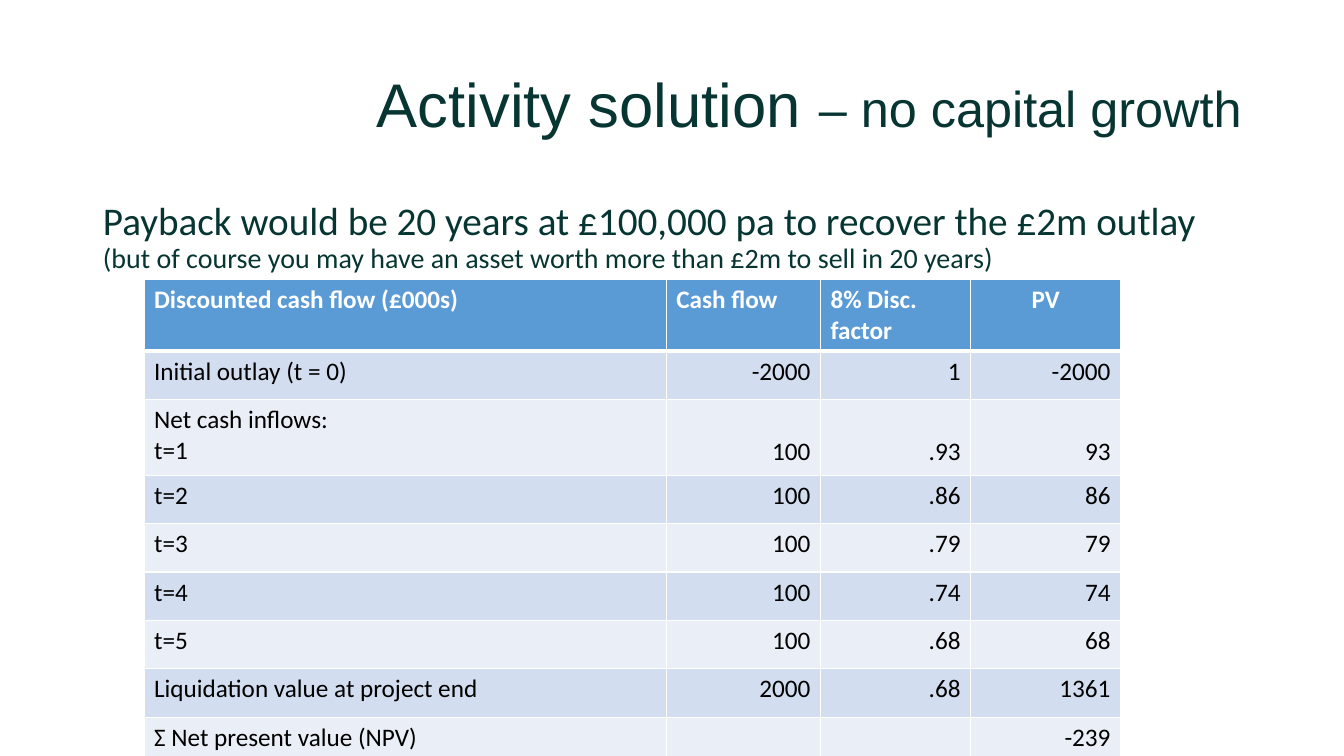
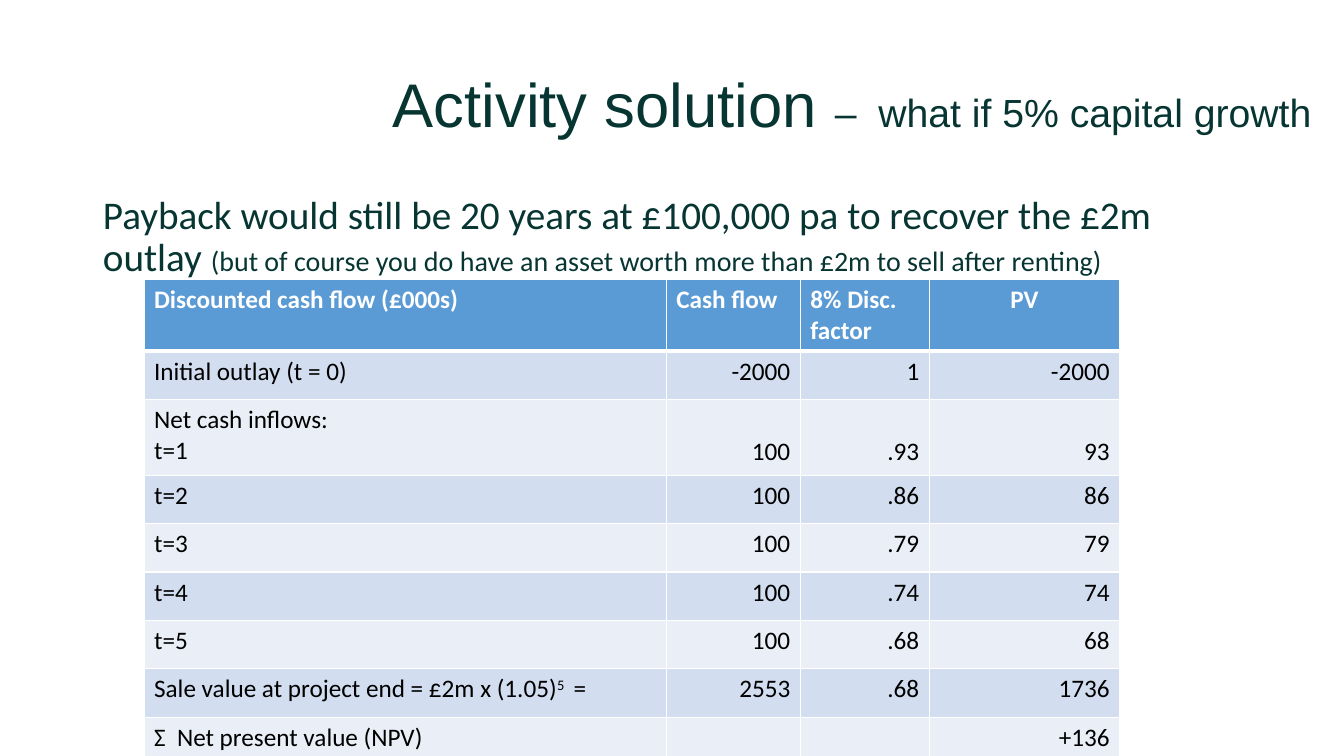
from lxml.etree import SubElement
from pptx import Presentation
from pptx.dml.color import RGBColor
from pptx.enum.text import MSO_ANCHOR as Anchor, MSO_AUTO_SIZE as AutoSize, PP_ALIGN as Align
from pptx.oxml.ns import qn
from pptx.util import Cm, Pt

COLORS = {
    "ink": "063532",
    "header": "5B9BD5",
    "band_dark": "D2DEEF",
    "band_light": "EAEFF7",
    "white": "FFFFFF",
    "black": "000000",
}
TITLE_FONT, TEXT_FONT = "Arial", "Calibri"
ROW_HEIGHT, INFLOW_HEIGHT = 1.22, 1.91
HEADINGS = ("Discounted cash flow (£000s)", "Cash flow", "8% Disc. factor", "PV")
INFLOWS = ((".93", "93"), (".86", "86"), (".79", "79"), (".74", "74"), (".68", "68"))


def apply_formats(target, formats):
    """Set every attribute named in formats on target."""
    for name, value in formats.items():
        setattr(target, name, value)


def add_run(paragraph, text, size, color, font=TEXT_FONT, bold=False, baseline=None):
    """Append one formatted run to a paragraph."""
    run = paragraph.add_run()
    run.text = text
    apply_formats(run.font, {"name": font, "size": Pt(size), "bold": bold})
    run.font.color.rgb = RGBColor.from_string(COLORS[color])
    if baseline:
        run.font.size = Pt(size)
        run._r.get_or_add_rPr().set("baseline", str(baseline * 1000))


def fill_placeholder(shape, box, runs, font, frame_formats, paragraph_formats):
    """Place a placeholder and give it one paragraph of sized runs."""
    apply_formats(shape, dict(zip(("left", "top", "width", "height"), map(Cm, box))))
    apply_formats(shape.text_frame, {"word_wrap": True, "auto_size": AutoSize.NONE, **frame_formats})
    paragraph = shape.text_frame.paragraphs[0]
    apply_formats(paragraph, {"line_spacing": 0.9, **paragraph_formats})
    for text, size in runs:
        add_run(paragraph, text, size, "ink", font)
    return paragraph


def add_title(slide, width, detail, detail_size):
    """Fill the right-aligned slide title."""
    runs = (("Activity solution ", 44), (detail, detail_size))
    fill_placeholder(slide.shapes.title, (2.34, 0.86, width, 3.68), runs, TITLE_FONT,
                     {"vertical_anchor": Anchor.MIDDLE}, {"alignment": Align.RIGHT})


def add_body(slide, top, statement, aside):
    """Fill the body with a statement and a smaller aside, without a bullet."""
    paragraph = fill_placeholder(slide.placeholders[1], (2.34, top, 29.21, 14.1),
                                 ((statement, 28), (aside, 20)), TEXT_FONT,
                                 {"vertical_anchor": Anchor.TOP}, {"space_before": Pt(10)})
    properties = paragraph._p.get_or_add_pPr()
    properties.set("marL", "0")
    properties.set("indent", "0")
    SubElement(properties, qn("a:buNone"))


def style_cell(cell, fill, bottom_border=1):
    """Give a cell white borders and a solid fill."""
    properties = cell._tc.get_or_add_tcPr()
    for side, width in zip("LRTB", (1, 1, 1, bottom_border)):
        line = SubElement(properties, qn(f"a:ln{side}"), w=str(Pt(width)))
        SubElement(SubElement(line, qn("a:solidFill")), qn("a:srgbClr"), val=COLORS["white"])
    cell.fill.solid()
    cell.fill.fore_color.rgb = RGBColor.from_string(COLORS[fill])


def write_cell(cell, lines, alignment, color="black", bold=False):
    """Write lines, each a list of (text, baseline) pieces, into a cell."""
    frame = cell.text_frame
    for index, pieces in enumerate(lines):
        paragraph = frame.add_paragraph() if index else frame.paragraphs[0]
        paragraph.alignment = alignment
        for text, baseline in pieces:
            add_run(paragraph, text, 18, color, bold=bold, baseline=baseline)


def plain(*lines):
    """Return unraised text lines for a cell."""
    return [[(line, None)] for line in lines]


def cash_flow_rows(sale_label, sale_value, sale_pv, total_label, total):
    """Return the label and figures of every row below the header."""
    rows = [(plain("Initial outlay (t = 0)"), "-2000", "1", "-2000")]
    for year, (factor, value) in enumerate(INFLOWS, 1):
        lead = ("Net cash inflows:",) if year == 1 else ()
        rows.append((plain(*lead, f"t={year}"), "100", factor, value))
    rows.append((sale_label, sale_value, INFLOWS[-1][0], sale_pv))
    rows.append((plain(total_label), "", "", total))
    return rows


def add_cash_flow_table(slide, widths, rows):
    """Add the discounted cash flow table."""
    frame = slide.shapes.add_table(len(rows) + 1, len(widths), Cm(3.63), Cm(7.04),
                                   Cm(sum(widths)), Cm(ROW_HEIGHT * (len(rows) + 1)))
    table = frame.table
    for column, width in zip(table.columns, widths):
        column.width = Cm(width)
    for row in table.rows:
        row.height = Cm(ROW_HEIGHT)
    for column, heading in enumerate(HEADINGS):
        cell = table.cell(0, column)
        style_cell(cell, "header", 3)
        alignment = Align.CENTER if heading == "PV" else Align.LEFT
        write_cell(cell, plain(heading), alignment, "white", True)
    for index, (label, *figures) in enumerate(rows, 1):
        if len(label) > 1:
            table.rows[index].height = Cm(INFLOW_HEIGHT)
        for column, lines in enumerate([label, *map(plain, figures)]):
            cell = table.cell(index, column)
            style_cell(cell, "band_dark" if index % 2 else "band_light")
            write_cell(cell, lines, Align.RIGHT if column else Align.LEFT)
            if len(label) > 1 and column:
                apply_formats(cell, {"vertical_anchor": Anchor.BOTTOM, "margin_bottom": Cm(0.2)})


def add_solution_slide(presentation, title, body, widths, closing):
    """Add one slide with title, payback statement and table."""
    slide = presentation.slides.add_slide(presentation.slide_layouts[1])
    add_body(slide, *body)
    add_title(slide, *title)
    add_cash_flow_table(slide, widths, cash_flow_rows(*closing))


def main():
    """Build and save the presentation."""
    presentation = Presentation()
    apply_formats(presentation, {"slide_width": Cm(33.87), "slide_height": Cm(19.05)})
    add_solution_slide(
        presentation,
        (29.21, "– no capital growth", 36),
        (4.95, "Payback would be 20 years at £100,000 pa to recover the £2m outlay ",
         "(but of course you may have an asset worth more than £2m to sell in 20 years)"),
        (13.16, 3.89, 3.78, 3.78),
        (plain("Liquidation value at project end"), "2000", "1361",
         "Σ Net present value (NPV)", "-239"),
    )
    sale_label = [[("Sale value at project end = £2m x (1.05)", None), ("5 ", 30), (" =", None)]]
    add_solution_slide(
        presentation,
        (30.96, "–  what if 5% capital growth", 28),
        (4.8, "Payback would still be 20 years at £100,000 pa to recover the £2m outlay ",
         "(but of course you do have an asset worth more than £2m to sell after renting)"),
        (13.16, 3.38, 3.25, 4.8),
        (sale_label, "2553", "1736", "Σ  Net present value (NPV)", "+136"),
    )
    presentation.save("out.pptx")


if __name__ == "__main__":
    main()
